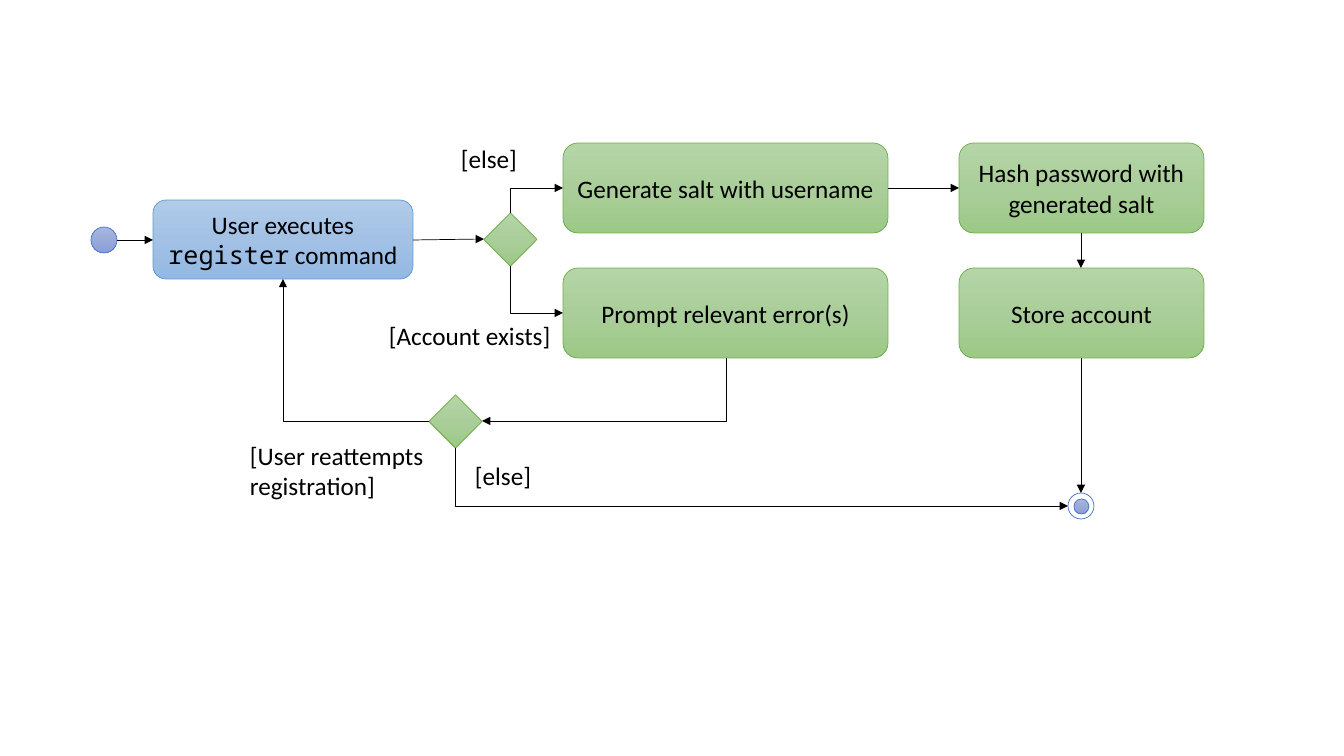
from copy import deepcopy

from pptx import Presentation
from pptx import util as u
from pptx.dml.color import RGBColor
from pptx.enum import shapes, text
from pptx.oxml import ns, xmlchemy as xc

SCALE = 914400 / 100.8
KIND = shapes.MSO_SHAPE
LINK = shapes.MSO_CONNECTOR
BLUE = ("B1CBE9", "A3C1E5", "93B9E4"), "5B9BD5"
GREEN = ("B5D5A7", "AACE9A", "9CC987"), "70AD47"
NAVY = ("A8B7DF", "9AABD9", "889ED7"), "4472C4"
WHITE = ("FFFFFF",), "4472C4"


def px(n):
    return u.Emu(round(n * SCALE))


def rgb(code):
    return RGBColor.from_string(code)


class Chart:
    font, mono, ink = "Calibri", "Noto Sans Mono", "000000"
    size, width = u.Pt(18), u.Pt(0.5)

    def __init__(self, slide):
        self.shapes = slide.shapes

    def fill_text(self, para, parts):
        for i, part in enumerate(parts):
            run = para.add_run()
            run.text = part
            run.font.name = self.mono if i % 2 else self.font
            run.font.size = self.size
            run.font.color.rgb = rgb(self.ink)

    def node(self, kind, x, y, w, h, look, *parts):
        """Draw a filled shape; every second text part is monospaced."""
        tones, edge = look
        node = self.shapes.add_shape(kind, px(x), px(y), px(w), px(h))
        node.shadow.inherit = False
        node.line.color.rgb = rgb(edge)
        node.line.width = self.width
        if len(tones) == 1:
            node.fill.solid()
            node.fill.fore_color.rgb = rgb(tones[0])
        else:
            node.fill.gradient()
            node.fill.gradient_angle = 270
            stops = node.element.find(".//" + ns.qn("a:gsLst"))
            stops.insert(1, deepcopy(stops[0]))
            for i, stop in enumerate(node.fill.gradient_stops):
                stop.position = i / 2
                stop.color.rgb = rgb(tones[i])
        if parts:
            frame = node.text_frame
            frame.word_wrap = True
            frame.vertical_anchor = text.MSO_ANCHOR.MIDDLE
            para = frame.paragraphs[0]
            para.alignment = text.PP_ALIGN.CENTER
            self.fill_text(para, parts)
        return node

    def label(self, x, y, w, h, words):
        frame = self.shapes.add_textbox(px(x), px(y), px(w), px(h)).text_frame
        frame.word_wrap = True
        frame.auto_size = text.MSO_AUTO_SIZE.SHAPE_TO_FIT_TEXT
        self.fill_text(frame.paragraphs[0], [words])

    def arrow(self, x1, y1, x2, y2, kind=LINK.STRAIGHT):
        line = self.shapes.add_connector(kind, px(x1), px(y1), px(x2), px(y2))
        line.line.color.rgb = rgb(self.ink)
        line.line.width = self.width
        props = line.element.spPr
        ln = props.find(ns.qn("a:ln"))
        ln.append(xc.OxmlElement("a:tailEnd"))
        ln[-1].set("type", "triangle")
        props.append(xc.OxmlElement("a:effectLst"))
        return props

    def bend(self, x1, y1, x2, y2, down=True):
        """Draw an arrow with one corner; down means the vertical leg is first."""
        if down:
            # The frame is turned a quarter about its centre
            cx, cy = (x1 + x2) / 2, (y1 + y2) / 2
            dx, dy = (y2 - y1) / 2, (x1 - x2) / 2
            x1, y1, x2, y2 = cx - dx, cy - dy, cx + dx, cy + dy
        props = self.arrow(x1, y1, x2, y2, LINK.ELBOW)
        props.find(ns.qn("a:prstGeom")).set("prst", "bentConnector2")
        if down:
            props.find(ns.qn("a:xfrm")).set("rot", "5400000")


def main():
    deck = Presentation()
    deck.slide_width, deck.slide_height = px(1344), px(756)
    chart = Chart(deck.slides.add_slide(deck.slide_layouts[6]))

    # Start and command
    chart.node(KIND.OVAL, 91, 227, 26, 26, NAVY)
    chart.node(KIND.ROUNDED_RECTANGLE, 153, 200, 260, 79, BLUE,
               "User executes ", "register", " command")

    # Steps, in two columns and two rows
    steps = [
        (563, 325, ("Generate salt with username", "Prompt relevant error(s)")),
        (959, 245, ("Hash password with generated salt", "Store account")),
    ]
    for x, w, names in steps:
        for row, name in enumerate(names):
            chart.node(KIND.ROUNDED_RECTANGLE, x, 143 + 125 * row, w, 90, GREEN, name)

    # Decisions
    for x, y in ((484, 213), (429, 395)):
        chart.node(KIND.DIAMOND, x, y, 53, 53, GREEN)

    # End
    ring = chart.node(KIND.OVAL, 1068, 493, 26, 26, WHITE)
    dot = chart.node(KIND.OVAL, 1074, 499, 15, 15, NAVY)
    chart.shapes.add_group_shape([ring, dot])

    # Straight arrows
    for ends in (
        (117, 240, 153, 240),
        (413, 240, 484, 239),
        (888, 188, 959, 188),
        (1081, 233, 1081, 268),
        (1081, 358, 1081, 493),
    ):
        chart.arrow(*ends)

    # Bent arrows
    for ends in (
        (510, 213, 563, 188),
        (510, 266, 563, 313),
        (726, 358, 482, 421),
        (455, 448, 1068, 506),
    ):
        chart.bend(*ends)
    chart.bend(429, 421, 283, 279, down=False)

    # Guards
    for spot in (
        (451, 138, 100, 40, "[else]"),
        (379, 315, 203, 40, "[Account exists]"),
        (465, 455, 94, 40, "[else]"),
        (240, 435, 261, 72, "[User reattempts registration]"),
    ):
        chart.label(*spot)

    deck.save("out.pptx")


if __name__ == "__main__":
    main()
